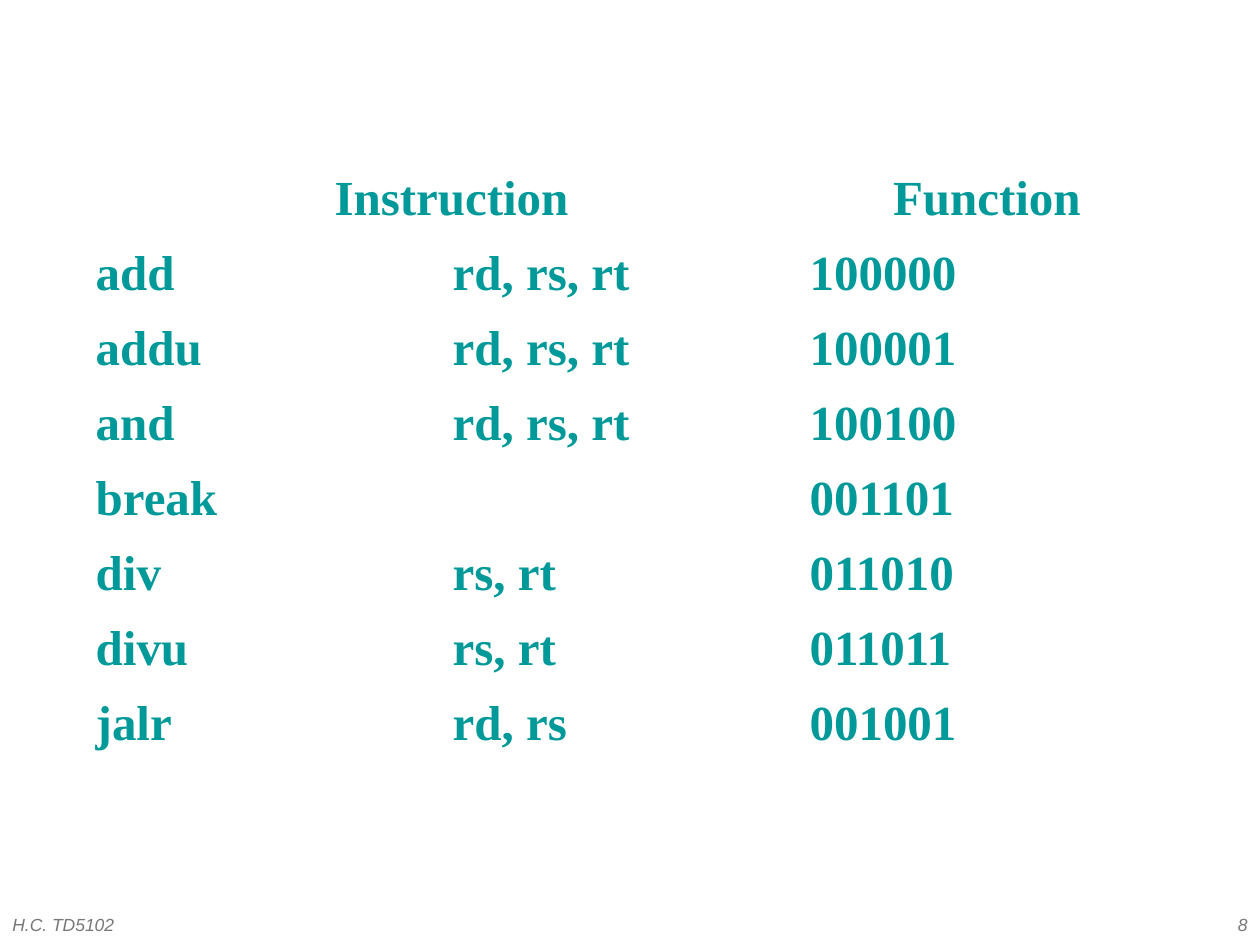
"""Build a slide listing instructions and their function codes."""
from pptx import Presentation
from pptx.dml.color import RGBColor
from pptx.enum import text
from pptx.util import Inches, Pt

COLORS = {"teal": "009999", "gray": "777777"}
ALIGN = text.PP_ALIGN


def add_run(paragraph, words, font, size, color, bold=False, italic=False):
    run = paragraph.add_run()
    run.text = words
    run.font.name = font
    run.font.size = Pt(size)
    run.font.bold = bold
    run.font.italic = italic
    run.font.color.rgb = RGBColor.from_string(COLORS[color])


deck = Presentation()
deck.slide_width, deck.slide_height = Inches(10), Inches(7.5)
slide = deck.slides.add_slide(deck.slide_layouts[6])

footers = [
    ("H.C. TD5102", 0, 3.17, ALIGN.LEFT),
    ("8", 7.92, 2.08, ALIGN.RIGHT),
]
for words, left, width, align in footers:
    footer = slide.shapes.add_textbox(
        Inches(left), Inches(7.17), Inches(width), Inches(0.33)).text_frame
    footer.word_wrap = True
    footer.vertical_anchor = text.MSO_ANCHOR.MIDDLE
    footer.paragraphs[0].alignment = align
    add_run(footer.paragraphs[0], words, "Arial", 10, "gray", italic=True)

rows = [
    ("Instruction", "", "Function"),
    ("add", "rd, rs, rt", "100000"),
    ("addu", "rd, rs, rt", "100001"),
    ("and", "rd, rs, rt", "100100"),
    ("break", "", "001101"),
    ("div", "rs, rt", "011010"),
    ("divu", "rs, rt", "011011"),
    ("jalr", "rd, rs", "001001"),
]
instructions = slide.shapes.add_table(
    len(rows), 3, Inches(0.75), Inches(1.25), Inches(8.5), Inches(4.76)).table
instructions.first_row = False
instructions.horz_banding = False
instructions.cell(0, 0).merge(instructions.cell(0, 1))

for row, entries in enumerate(rows):
    for column, words in enumerate(entries):
        cell = instructions.cell(row, column)
        cell.fill.background()
        cell.margin_left = cell.margin_right = Inches(0.01)
        cell.margin_top = cell.margin_bottom = Inches(0.02)
        cell.vertical_anchor = text.MSO_ANCHOR.MIDDLE
        if words:
            paragraph = cell.text_frame.paragraphs[0]
            paragraph.alignment = ALIGN.LEFT if row else ALIGN.CENTER
            paragraph.line_spacing = 1.15
            add_run(paragraph, words, "Times New Roman", 28, "teal", bold=True)

deck.save("out.pptx")
